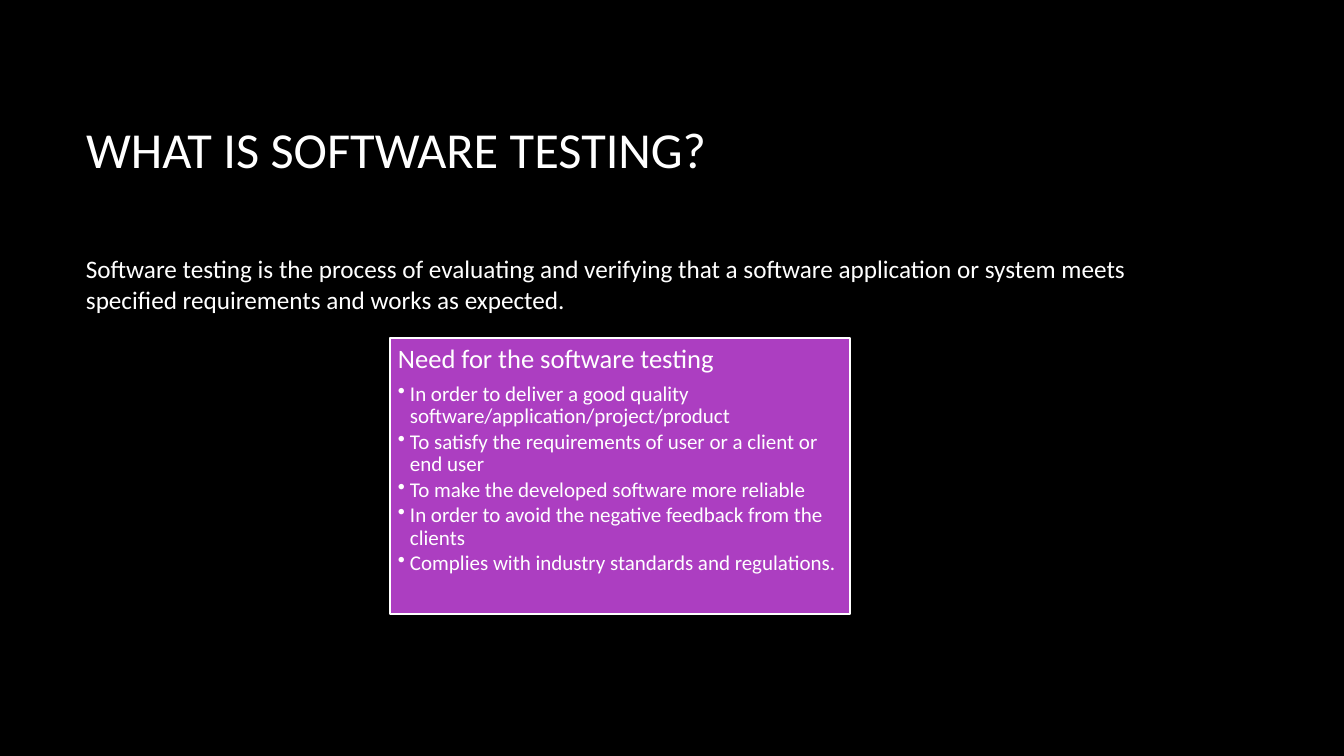
from pptx import Presentation
from pptx.dml.color import RGBColor
from pptx.enum.shapes import MSO_SHAPE
from pptx.enum.text import MSO_ANCHOR, PP_ALIGN
from pptx.oxml.ns import qn
from pptx.util import Pt
from lxml.etree import SubElement

PX = 914400 / 100.8
WHITE = "FFFFFF"
NEEDS = [
    "In order to deliver a good quality software/application/project/product",
    "To satisfy the requirements of user or a client or end user",
    "To make the developed software more reliable",
    "In order to avoid the negative feedback from the clients",
    "Complies with industry standards and regulations.",
]


def px(length):
    return round(length * PX)


def write(paragraph, text, size, **formats):
    """Fill a paragraph with left-aligned white text and apply its formats."""
    run = paragraph.add_run()
    run.text = text
    run.font.name = "Calibri"
    run.font.size = Pt(size)
    run.font.color.rgb = RGBColor.from_string(WHITE)
    for name, value in {"alignment": PP_ALIGN.LEFT, **formats}.items():
        setattr(paragraph, name, value)


presentation = Presentation()
presentation.slide_width = px(1344)
presentation.slide_height = px(756)
slide = presentation.slides.add_slide(presentation.slide_layouts[5])
slide.background.fill.solid()
slide.background.fill.fore_color.rgb = RGBColor.from_string("000000")

# Title and definition
title = slide.shapes.title
title.left, title.top, title.width, title.height = map(px, (76, 68, 1117, 160))
title.text_frame.vertical_anchor = MSO_ANCHOR.MIDDLE
write(title.text_frame.paragraphs[0], "WHAT IS SOFTWARE TESTING?", 36)

definition = slide.shapes.add_textbox(*map(px, (76, 236, 1117, 96)))
definition.text_frame.word_wrap = True
definition.text_frame.vertical_anchor = MSO_ANCHOR.MIDDLE
write(
    definition.text_frame.paragraphs[0],
    "Software testing is the process of evaluating and verifying that a software "
    "application or system meets specified requirements and works as expected.",
    18,
    space_after=Pt(10),
)

# Purple card with the needs
card = slide.shapes.add_shape(MSO_SHAPE.RECTANGLE, *map(px, (390, 338, 460, 276)))
card.shadow.inherit = False
card.fill.solid()
card.fill.fore_color.rgb = RGBColor.from_string("AC3EC1")
card.line.color.rgb = RGBColor.from_string(WHITE)
card.line.width = Pt(1.5)

frame = card.text_frame
frame.word_wrap = True
frame.vertical_anchor = MSO_ANCHOR.TOP
for side in ("left", "top", "right", "bottom"):
    setattr(frame, f"margin_{side}", px(8))

write(frame.paragraphs[0], "Need for the software testing", 19,
      line_spacing=0.9, space_after=Pt(6))
for need in NEEDS:
    paragraph = frame.add_paragraph()
    write(paragraph, need, 15, level=1, line_spacing=0.9, space_after=Pt(1.8))
    properties = paragraph._p.get_or_add_pPr()
    properties.set("marL", str(px(12)))
    properties.set("indent", str(-px(12)))
    SubElement(properties, qn("a:buChar")).set("char", "•")

presentation.save("out.pptx")
